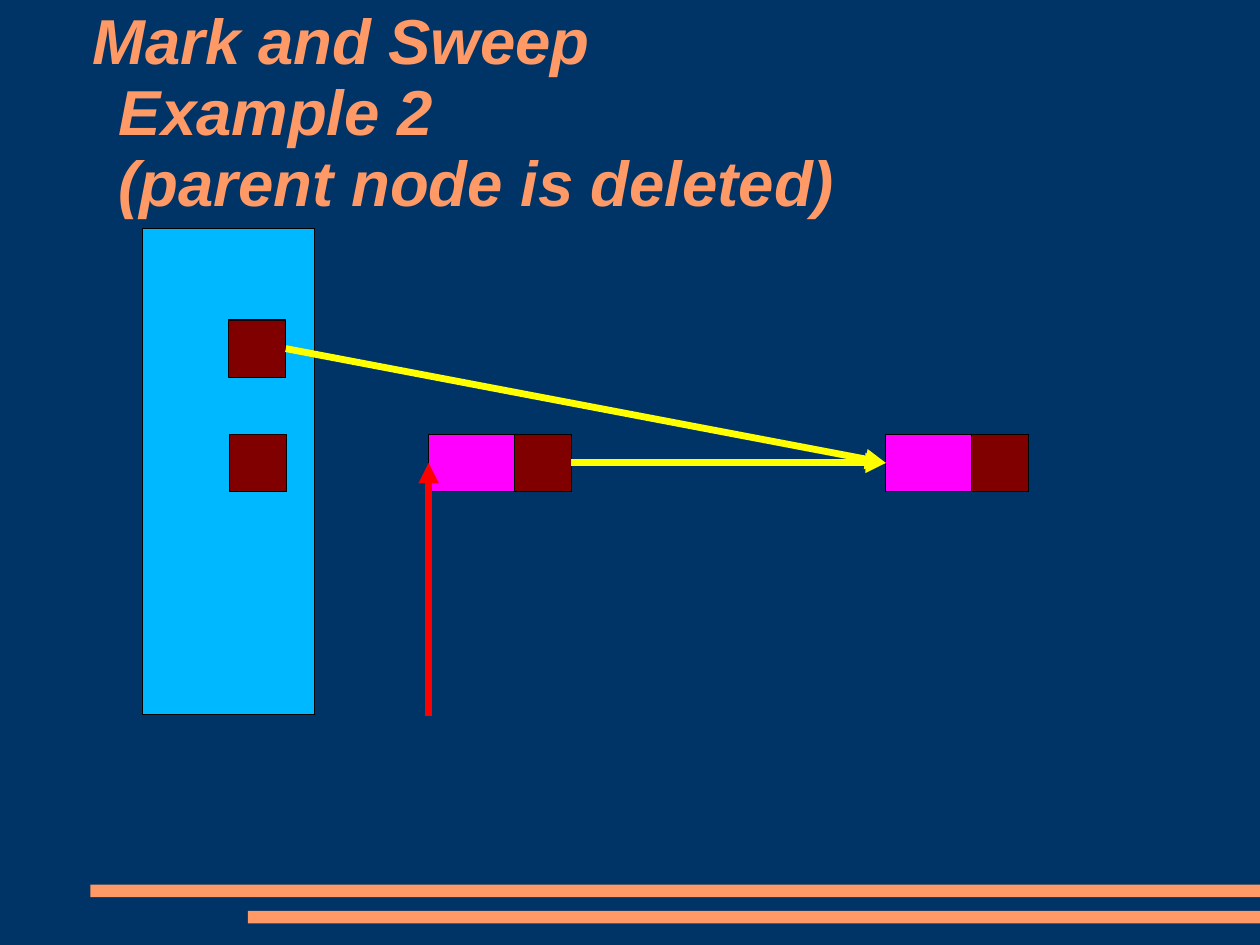
"""Build the mark-and-sweep slide about a deleted parent node."""
from dataclasses import dataclass

from pptx import Presentation
from pptx.dml.color import RGBColor
from pptx.enum.shapes import MSO_CONNECTOR, MSO_SHAPE
from pptx.enum.text import MSO_ANCHOR
from pptx.oxml.ns import qn
from pptx.util import Inches, Pt
from lxml.etree import SubElement


@dataclass(frozen=True)
class Theme:
    """Colours, type and line sizes of the slide."""
    background: str = "003366"
    accent: str = "FF9966"
    stack: str = "00B8FF"
    pointer: str = "800000"
    node: str = "FF00FF"
    outline: str = "000000"
    reference: str = "FFFF00"
    free_list: str = "FF0000"
    font: str = "Arial"
    title_size: float = 40
    outline_width: float = 0.75
    arrow_width: float = 4.31


THEME = Theme()
CM_PER_INCH = 2.54
SLIDE_WIDTH, SLIDE_HEIGHT = 28 / CM_PER_INCH, 21 / CM_PER_INCH
CELL = 0.5
NODE_WIDTH = 1.25
NODE_TOP = 3.8
LEFT_SIDE, RIGHT_SIDE = 1, 3


def rgb(color):
    """Turn a hex string into a colour."""
    return RGBColor.from_string(color)


def add_box(slide, left, top, width, height, fill, outlined=True):
    """Add a filled rectangle, outlined unless told otherwise."""
    box = slide.shapes.add_shape(
        MSO_SHAPE.RECTANGLE, Inches(left), Inches(top), Inches(width), Inches(height)
    )
    box.shadow.inherit = False
    box.fill.solid()
    box.fill.fore_color.rgb = rgb(fill)
    if outlined:
        box.line.color.rgb = rgb(THEME.outline)
        box.line.width = Pt(THEME.outline_width)
    else:
        box.line.fill.background()
    return box


def add_pointer(slide, left, top):
    """Add a square pointer cell."""
    return add_box(slide, left, top, CELL, CELL, THEME.pointer)


def add_node(slide, left):
    """Add a heap node and return its body and its pointer cell."""
    body = add_box(slide, left, NODE_TOP, NODE_WIDTH, CELL, THEME.node)
    return body, add_pointer(slide, left + NODE_WIDTH - CELL, NODE_TOP)


def add_arrow(slide, color, target, source=None, start=(0, 0)):
    """Point an arrow at the target's left side from a source cell or a free start."""
    x, y = (Inches(value) for value in start)
    arrow = slide.shapes.add_connector(MSO_CONNECTOR.STRAIGHT, x, y, x, y)
    if source is not None:
        arrow.begin_connect(source, RIGHT_SIDE)
    arrow.end_connect(target, LEFT_SIDE)
    arrow.line.color.rgb = rgb(color)
    arrow.line.width = Pt(THEME.arrow_width)
    properties = arrow._element.spPr
    SubElement(properties.find(qn("a:ln")), qn("a:tailEnd"), type="triangle")
    SubElement(properties, qn("a:effectLst"))


def add_title(slide, wording):
    """Add the title with a hanging indent."""
    title = slide.shapes.add_textbox(Inches(0.81), Inches(0.07), Inches(9.41), Inches(1.86))
    frame = title.text_frame
    frame.word_wrap = True
    frame.vertical_anchor = MSO_ANCHOR.MIDDLE
    frame.margin_left = frame.margin_right = frame.margin_top = frame.margin_bottom = 0
    paragraph = frame.paragraphs[0]
    paragraph.text = wording
    paragraph.line_spacing = 0.93
    properties = paragraph._p.get_or_add_pPr()
    properties.set("marL", str(Inches(0.23)))
    properties.set("indent", str(Inches(-0.23)))
    for run in paragraph.runs:
        run.font.name = THEME.font
        run.font.size = Pt(THEME.title_size)
        run.font.bold = run.font.italic = True
        run.font.color.rgb = rgb(THEME.accent)


def main():
    """Compose and save the slide."""
    presentation = Presentation()
    presentation.slide_width = Inches(SLIDE_WIDTH)
    presentation.slide_height = Inches(SLIDE_HEIGHT)
    slide = presentation.slides.add_slide(presentation.slide_layouts[6])
    slide.background.fill.solid()
    slide.background.fill.fore_color.rgb = rgb(THEME.background)

    for left, top in ((0.79, 7.74), (2.17, 7.97)):
        add_box(slide, left, top, SLIDE_WIDTH - left, 0.11, THEME.accent, outlined=False)
    add_title(slide, "Mark and Sweep\vExample 2\v(parent node is deleted)")

    add_box(slide, 1.25, 2, 1.5, 4.25, THEME.stack)
    root_pointer = add_pointer(slide, 2, 2.8)
    add_pointer(slide, 2.01, NODE_TOP)
    parent, parent_pointer = add_node(slide, 3.75)
    child, _ = add_node(slide, 7.75)

    add_arrow(slide, THEME.reference, child, source=root_pointer)
    add_arrow(slide, THEME.free_list, parent, start=(3.75, 6.26))
    add_arrow(slide, THEME.reference, child, source=parent_pointer)
    presentation.save("out.pptx")


if __name__ == "__main__":
    main()
